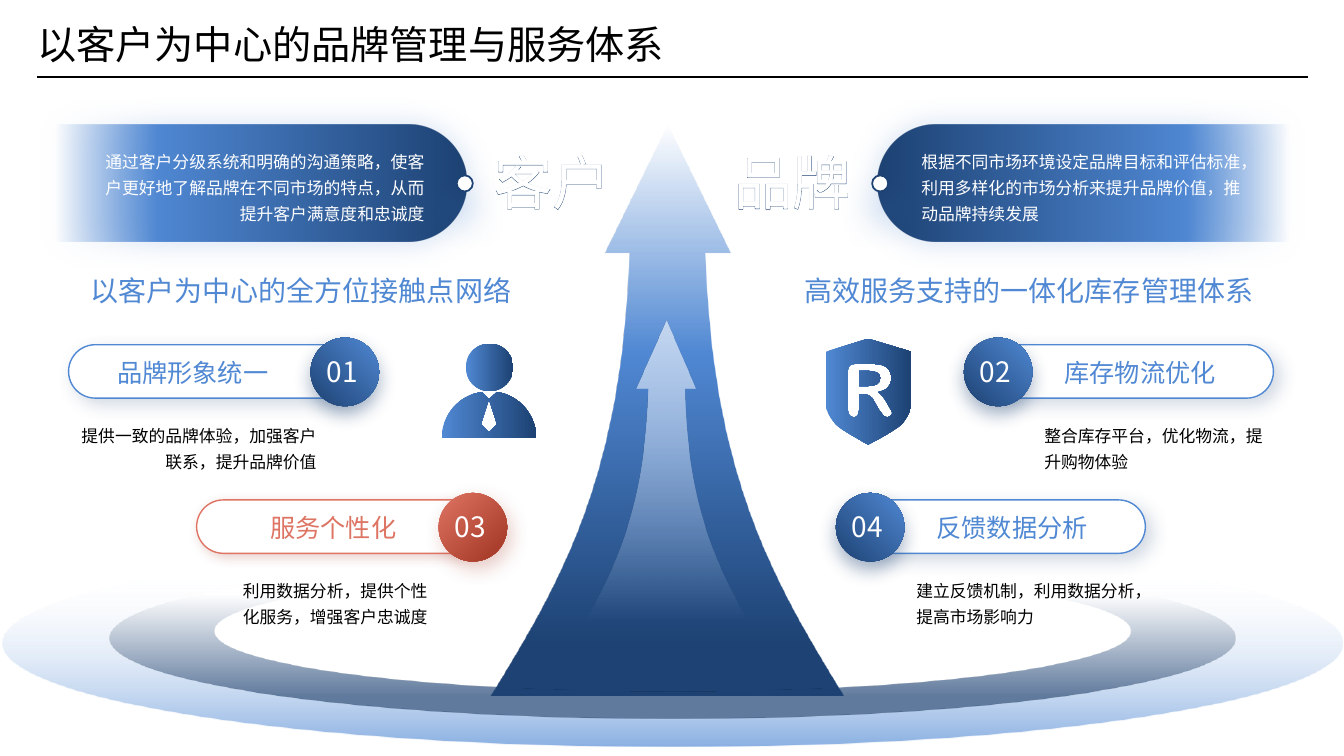
from itertools import islice

from lxml.etree import SubElement
from pptx import Presentation
from pptx.dml.color import RGBColor
from pptx.enum.shapes import MSO_CONNECTOR as Connector, MSO_SHAPE as Preset
from pptx.enum.text import MSO_ANCHOR as Anchor, MSO_AUTO_SIZE as AutoSize, PP_ALIGN as Align
from pptx.oxml.ns import qn
from pptx.util import Inches, Pt

COLORS = {"navy": "1D4273", "blue": "5088D3", "pale": "C5D7F0", "sky": "8AB0E2",
          "coral": "DE7463", "brick": "A13422", "white": "FFFFFF", "black": "000000"}
FONT = "Noto Sans CJK SC"
WIDTH = 13.33


def paint(shape, fill, angle=None, line=None, weight=1, shadow=None):
    """Fill with a colour name or (position, colour, opacity) stops; no angle means radial."""
    shape.shadow.inherit = False
    properties = shape._element.spPr
    shape.fill.solid()
    if isinstance(fill, str):
        shape.fill.fore_color.rgb = RGBColor.from_string(COLORS[fill])
    else:
        solid = properties.find(qn("a:solidFill"))
        gradient = SubElement(properties, qn("a:gradFill"), rotWithShape="1")
        properties.replace(solid, gradient)
        stops = SubElement(gradient, qn("a:gsLst"))
        for position, color, opacity in fill:
            stop = SubElement(stops, qn("a:gs"), pos=str(position * 1000))
            tint = SubElement(stop, qn("a:srgbClr"), val=COLORS[color])
            if opacity < 100:
                SubElement(tint, qn("a:alpha"), val=str(opacity * 1000))
        if angle is None:
            radial = SubElement(gradient, qn("a:path"), path="circle")
            SubElement(radial, qn("a:fillToRect"), l="100000", b="100000")
        else:
            SubElement(gradient, qn("a:lin"), ang=str(angle * 60000), scaled="0")
    if line:
        shape.line.color.rgb = RGBColor.from_string(COLORS[line])
        shape.line.width = Pt(weight)
    else:
        shape.line.fill.background()
    if shadow:
        color, opacity, blur, distance, direction = shadow
        outer = SubElement(properties.find(qn("a:effectLst")), qn("a:outerShdw"),
                           blurRad=str(Pt(blur)), dist=str(Pt(distance)),
                           dir=str(direction * 60000), algn="ctr", rotWithShape="0")
        tint = SubElement(outer, qn("a:srgbClr"), val=COLORS[color])
        SubElement(tint, qn("a:alpha"), val=str(opacity * 1000))


def write(box, text, size, color, align=Align.LEFT, inset=0.1, spacing=None, font=FONT):
    """Put one formatted paragraph into a box and return its run."""
    frame = box.text_frame
    frame.auto_size = AutoSize.NONE
    frame.word_wrap = True
    frame.vertical_anchor = Anchor.MIDDLE
    frame.margin_left = frame.margin_right = Inches(inset)
    frame.margin_top = frame.margin_bottom = Inches(inset / 2)
    para = frame.paragraphs[0]
    para.alignment = align
    para.line_spacing = spacing
    span = para.add_run()
    span.text = text
    span.font.size = Pt(size)
    span.font.name = font
    span.font.color.rgb = RGBColor.from_string(COLORS[color])
    SubElement(span._r.rPr, qn("a:ea"), typeface=FONT)
    return span


deck = Presentation()
deck.slide_width, deck.slide_height = Inches(WIDTH), Inches(7.5)
page = deck.slides.add_slide(deck.slide_layouts[5])
shapes = page.shapes

# Title and rule
title = shapes.title
title.left, title.top, title.width, title.height = map(Inches, (0.37, 0.2, 6.28, 0.47))
write(title, "以客户为中心的品牌管理与服务体系", 28, "black", inset=0)
rule = shapes.add_connector(Connector.STRAIGHT, Inches(0.37), Inches(0.76), Inches(12.97), Inches(0.76))
rule.line.color.rgb = RGBColor.from_string(COLORS["black"])
rule.line.width = Pt(1.5)
SubElement(rule._element.spPr, qn("a:effectLst"))

# Outlines: a pair is a straight step, six numbers are a Bézier step
big_arrow = [(4.87, 6.9), (5.59, 5.73, 6.17, 4.7, 6.24, 2.51), (6, 2.51), (6.62, 1.24), (7.24, 2.51),
             (6.99, 2.51), (7.06, 4.7, 7.64, 5.73, 8.36, 6.9)]
small_arrow = [(5.77, 6.24), (6.12, 5.6, 6.39, 5.05, 6.43, 3.86), (6.31, 3.86), (6.61, 3.18), (6.9, 3.86),
               (6.79, 3.86), (6.82, 5.05, 7.1, 5.6, 7.45, 6.24)]
ellipses = []
for cy, rx, ry in ((6.38, 6.64, 1.03), (6.33, 5.58, 0.8), (6.26, 4.54, 0.6)):
    cx, bend_x, bend_y = 6.67, 0.55 * rx, 0.55 * ry
    ellipses.append([(cx - rx, cy),
                     (cx - rx, cy - bend_y, cx - bend_x, cy - ry, cx, cy - ry),
                     (cx + bend_x, cy - ry, cx + rx, cy - bend_y, cx + rx, cy),
                     (cx + rx, cy + bend_y, cx + bend_x, cy + ry, cx, cy + ry),
                     (cx - bend_x, cy + ry, cx - rx, cy + bend_y, cx - rx, cy)])
left_banner = [(0, 1.24), (4.05, 1.24), (4.37, 1.24, 4.63, 1.5, 4.63, 1.82),
               (4.63, 2.14, 4.37, 2.4, 4.05, 2.4), (0, 2.4)]
right_banner = [tuple(value if index % 2 else WIDTH - value for index, value in enumerate(step))
                for step in left_banner]
shield = [(8.61, 3.36), (8.19, 3.49), (8.19, 4.04), (8.19, 4.04, 8.21, 4.12, 8.29, 4.21),
          (8.35, 4.27, 8.51, 4.35, 8.57, 4.39), (8.61, 4.41), (8.63, 4.4),
          (8.67, 4.38, 8.86, 4.28, 8.94, 4.21), (9.02, 4.12, 9.03, 4.04, 9.04, 4.04), (9.04, 3.49)]
letter = [(8.84, 4.12), (8.83, 4.13, 8.82, 4.14, 8.8, 4.14), (8.78, 4.14, 8.76, 4.13, 8.75, 4.11),
          (8.72, 4.07), (8.68, 4), (8.66, 3.96, 8.64, 3.93, 8.61, 3.92), (8.56, 3.91),
          (8.52, 3.91), (8.52, 4.07), (8.52, 4.11, 8.5, 4.14, 8.47, 4.14), (8.43, 4.14, 8.41, 4.11, 8.41, 4.07),
          (8.41, 3.67), (8.41, 3.63, 8.44, 3.61, 8.48, 3.61), (8.65, 3.61),
          (8.72, 3.61, 8.77, 3.62, 8.8, 3.65), (8.83, 3.68, 8.84, 3.71, 8.84, 3.75),
          (8.84, 3.83, 8.8, 3.87, 8.71, 3.89), (8.74, 3.91, 8.78, 3.96, 8.8, 4),
          (8.82, 4.04, 8.85, 4.08, 8.85, 4.1)]
letter_bowl = [(8.61, 3.68), (8.52, 3.68), (8.52, 3.83), (8.61, 3.83),
               (8.68, 3.83, 8.73, 3.81, 8.73, 3.75), (8.73, 3.7, 8.68, 3.68, 8.61, 3.68)]
torso = [(4.93, 3.89), (4.85, 3.96), (4.78, 3.89), (4.55, 3.92, 4.38, 4.12, 4.38, 4.35), (5.32, 4.35),
         (5.32, 4.12, 5.15, 3.92, 4.93, 3.89)]
tie = [(4.85, 4.29), (4.77, 4.21), (4.85, 3.96), (4.93, 4.21)]

banner_fill = [(0, "navy", 100), (66, "blue", 100), (88, "blue", 0)]
banner_shadow = ("blue", 26, 21, 0, 0)
icon_fill = [(0, "blue", 100), (100, "navy", 100)]
outlines = [
    ([big_arrow], [(0, "blue", 0), (40, "blue", 100), (91, "navy", 100)], 90, None),
    ([small_arrow], [(0, "pale", 100), (97, "pale", 0)], 90, None),
    (ellipses[:2], [(15, "white", 0), (100, "sky", 100)], 90, None),
    (ellipses[1:], [(23, "navy", 0), (86, "navy", 70)], 90, None),
    ([left_banner], banner_fill, 180, banner_shadow),
    ([right_banner], banner_fill, 0, banner_shadow),
    ([shield, letter, letter_bowl], icon_fill, 0, None),
    ([torso, tie], icon_fill, 0, None),
]
for contours, fill, angle, shadow in outlines:
    builder = None
    for contour in contours:
        start = tuple(map(Inches, contour[0]))
        if builder is None:
            builder = shapes.build_freeform(*start)
        else:
            builder.move_to(*start)
        builder.add_line_segments([(Inches(x), Inches(y)) for step in contour[1:]
                                   for x, y in zip(step[::2], step[1::2])], close=True)
    outline = builder.convert_to_shape()
    # Join each three Bézier points into one curve
    segments = iter(list(outline._element.spPr.iter(qn("a:lnTo"))))
    for contour in contours:
        for step in contour[1:]:
            first, *others = islice(segments, len(step) // 2)
            if others:
                first.tag = qn("a:cubicBezTo")
            for other in others:
                first.append(other[0])
                other.getparent().remove(other)
    paint(outline, fill, angle, shadow=shadow)

# Head of the customer icon
head = shapes.add_shape(Preset.OVAL, *map(Inches, (4.62, 3.41, 0.47, 0.47)))
paint(head, icon_fill, 0)

# Four numbered services: pill, circle, number, label, note
blue_style = ("blue", icon_fill, None, ("navy", 20, 13, 6, 45), ("navy", 40, 13, 6, 90))
red_style = ("coral", [(0, "coral", 100), (100, "brick", 100)], 45,
             ("brick", 21, 8, 3, 45), ("brick", 26, 14, 6, 60))
services = [
    ("01", "品牌形象统一", "提供一致的品牌体验，加强客户联系，提升品牌价值", 0.68, 3.42, 0.61, 2.63, blue_style),
    ("02", "库存物流优化", "整合库存平台，优化物流，提升购物体验", 9.78, 3.42, 10.26, 2.46, blue_style),
    ("03", "服务个性化", "利用数据分析，提供个性化服务，增强客户忠诚度", 1.95, 4.96, 2.25, 2.09, red_style),
    ("04", "反馈数据分析", "建立反馈机制，利用数据分析，提高市场影响力", 8.51, 4.96, 8.99, 2.46, blue_style),
]
for number, label, note, left, top, note_left, note_width, style in services:
    color, circle_fill, angle, pill_shadow, circle_shadow = style
    on_left = left < WIDTH / 2
    align = Align.RIGHT if on_left else Align.LEFT
    circle_left = left + (2.4 if on_left else -0.22)
    label_left = left + (-0.43 if on_left else 0.68)
    pill = shapes.add_shape(Preset.ROUNDED_RECTANGLE, *map(Inches, (left, top, 2.85, 0.53)))
    pill.adjustments[0] = 0.5
    paint(pill, "white", line=color, shadow=pill_shadow)
    circle = shapes.add_shape(Preset.OVAL, *map(Inches, (circle_left, top - 0.07, 0.68, 0.68)))
    paint(circle, circle_fill, angle, shadow=circle_shadow)
    box = shapes.add_textbox(*map(Inches, (circle_left + 0.06, top + 0.04, 0.58, 0.44)))
    write(box, number, 20, "white")
    box = shapes.add_textbox(*map(Inches, (label_left, top + 0.07, 2.51, 0.4)))
    write(box, label, 18, color, align)
    box = shapes.add_textbox(*map(Inches, (note_left, top + 0.7, note_width, 0.61)))
    write(box, note, 12, "black", align, spacing=Pt(18.6))

# Two sides: banner dot and text, outlined keyword, heading
sides = [
    (4.53, "客户", 4.9, "通过客户分级系统和明确的沟通策略，使客户更好地了解品牌在不同市场的特点，从而提升客户满意度和忠诚度",
     0.94, "以客户为中心的全方位接触点网络", 0.76, 4.41, Align.RIGHT),
    (8.65, "品牌", 7.28, "根据不同市场环境设定品牌目标和评估标准，利用多样化的市场分析来提升品牌价值，推动品牌持续发展",
     9.04, "高效服务支持的一体化库存管理体系", 7.88, 4.69, Align.LEFT),
]
for dot_left, keyword, keyword_left, summary, summary_left, heading, heading_left, heading_width, align in sides:
    dot = shapes.add_shape(Preset.OVAL, *map(Inches, (dot_left, 1.74, 0.16, 0.16)))
    paint(dot, "white", line="navy", weight=1.25, shadow=("blue", 51, 24.6, 19.1, 90))
    for outlined in (True, False):
        box = shapes.add_textbox(*map(Inches, (keyword_left, 1.44, 1.18, 0.72)))
        span = write(box, keyword, 41.5, "white", inset=0)
        if outlined:
            edge = SubElement(span._r.rPr, qn("a:ln"), w=str(Pt(2.75)))
            span._r.rPr.insert(0, edge)
            SubElement(SubElement(edge, qn("a:solidFill")), qn("a:srgbClr"), val=COLORS["navy"])
    box = shapes.add_textbox(*map(Inches, (summary_left, 1.4, 3.37, 0.87)))
    write(box, summary, 12, "white", align, spacing=Pt(18.6), font="Roboto")
    box = shapes.add_textbox(*map(Inches, (heading_left, 2.66, heading_width, 0.44)))
    write(box, heading, 20, "blue", align)

deck.save("out.pptx")
